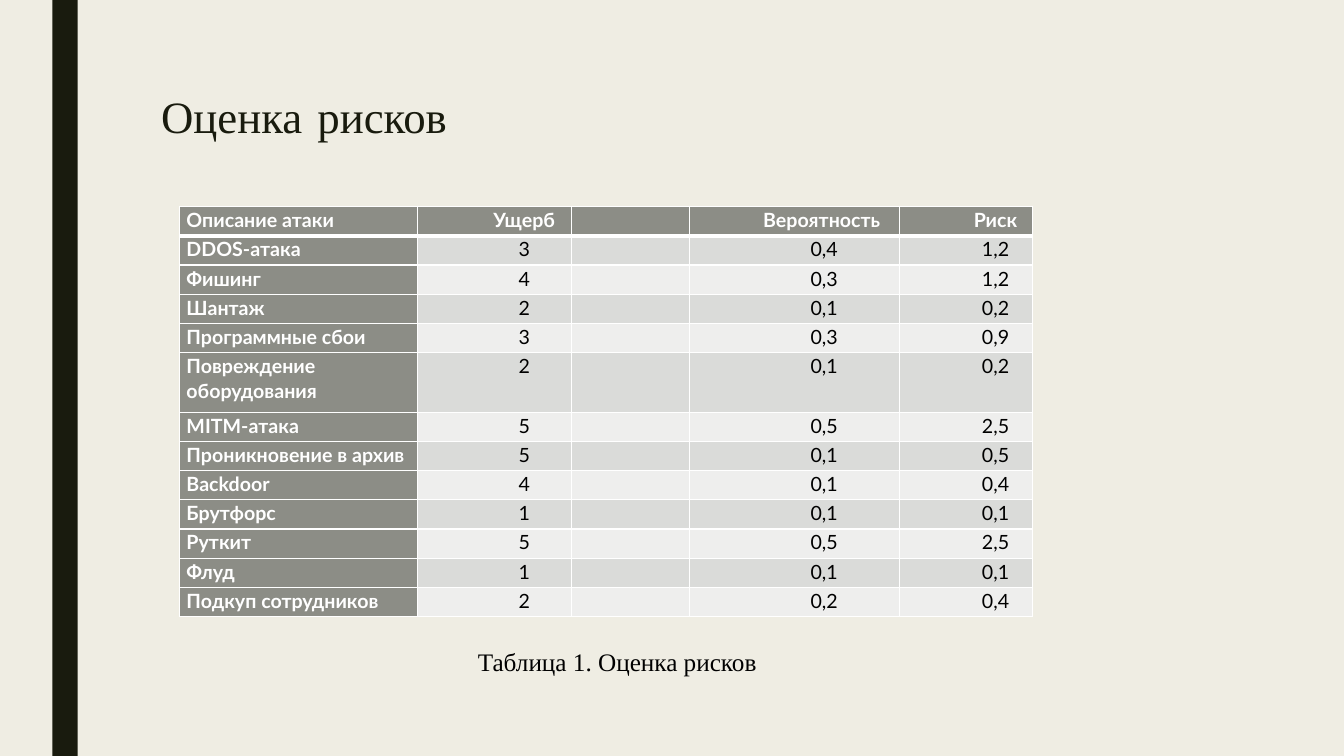
from dataclasses import dataclass

from lxml.etree import SubElement as Sub
from pptx import Presentation
from pptx.dml.color import RGBColor as Rgb
from pptx.enum.shapes import MSO_SHAPE as Kind
from pptx.enum.text import MSO_ANCHOR as Anchor, PP_ALIGN as Align
from pptx.oxml.ns import qn
from pptx.util import Inches, Pt


@dataclass(frozen=True)
class Theme:
    paper: str = "EFEDE3"
    ink: str = "191B0E"
    black: str = "000000"
    white: str = "FFFFFF"
    head: str = "8C8D86"
    bands: tuple = ("DADBD9", "EEEEED")
    serif: str = "Times New Roman"
    sans: str = "Lato"
    title: int = 32
    gap: int = 44
    note: int = 18
    cell: int = 14
    thin: int = 1
    thick: int = 3


THEME = Theme()

HEADS = ("Описание атаки", "Ущерб", "", "Вероятность ", "Риск")
RISKS = (
    ("DDOS-атака", "3", "0,4", "1,2"),
    ("Фишинг", "4", "0,3", "1,2"),
    ("Шантаж", "2", "0,1", "0,2"),
    ("Программные сбои", "3", "0,3", "0,9"),
    ("Повреждение оборудования", "2", "0,1", "0,2"),
    ("MITM-атака", "5", "0,5", "2,5"),
    ("Проникновение в архив", "5", "0,1", "0,5"),
    ("Backdoor", "4", "0,1", "0,4"),
    ("Брутфорс", "1", "0,1", "0,1"),
    ("Руткит", "5", "0,5", "2,5"),
    ("Флуд", "1", "0,1", "0,1"),
    ("Подкуп сотрудников", "2", "0,2", "0,4"),
)
WIDTHS = (2.36, 1.53, 1.17, 2.08, 1.32)
ROW, TALL = 0.29, 0.59
TALL_ROW = 5
INDENT = 0.59


def assign(item, form):
    for name, value in form.items():
        setattr(item, name, value)


def paint(fill, color):
    fill.solid()
    fill.fore_color.rgb = Rgb.from_string(color)


def add_run(para, text, size, face, color, bold=False):
    run = para.add_run()
    run.text = text
    assign(run.font, {"size": Pt(size), "name": face, "bold": bold})
    run.font.color.rgb = Rgb.from_string(color)


def add_text(slide, box, runs, form, wrap=True, left=0):
    frame = slide.shapes.add_textbox(*map(Inches, box)).text_frame
    assign(frame, {"word_wrap": wrap, "vertical_anchor": Anchor.TOP})
    para = frame.paragraphs[0]
    assign(para, form)
    if left:
        para._p.get_or_add_pPr().set("marL", str(Inches(left)))
    for run in runs:
        add_run(para, *run)


def add_bar(slide, box, color):
    bar = slide.shapes.add_shape(Kind.RECTANGLE, *map(Inches, box))
    bar.shadow.inherit = False
    paint(bar.fill, color)
    bar.line.fill.background()


def add_edges(cell, row):
    # Borders come before the fill in the cell properties
    props = cell._tc.get_or_add_tcPr()
    for side in "LRTB":
        wide = (side, row) in (("B", 0), ("T", 1))
        width = THEME.thick if wide else THEME.thin
        line = Sub(props, qn(f"a:ln{side}"), w=str(Pt(width)))
        fill = Sub(line, qn("a:solidFill"))
        Sub(fill, qn("a:srgbClr"), val=THEME.white)


def fill_cell(cell, text, row, col):
    head = row == 0 or col == 0
    add_edges(cell, row)
    paint(cell.fill, THEME.head if head else THEME.bands[(row - 1) % 2])
    assign(cell, {
        "margin_left": Inches(0.07), "margin_right": Inches(0.07),
        "margin_top": 0, "margin_bottom": 0,
    })
    para = cell.text_frame.paragraphs[0]
    if not text:
        Sub(para._p, qn("a:endParaRPr"), sz=str(THEME.cell * 100))
        return
    para.line_spacing = 1.07
    if col:
        para.alignment = Align.CENTER
        para._p.get_or_add_pPr().set("indent", str(Inches(INDENT)))
    color = THEME.white if head else THEME.black
    add_run(para, text, THEME.cell, THEME.sans, color, head)


def add_grid(slide, left, top):
    rows = [HEADS] + [(name, harm, "", odds, risk)
                      for name, harm, odds, risk in RISKS]
    highs = [TALL if i == TALL_ROW else ROW for i in range(len(rows))]
    box = (left, top, sum(WIDTHS), sum(highs))
    grid = slide.shapes.add_table(
        len(rows), len(WIDTHS), *map(Inches, box)).table
    assign(grid, {"first_row": False, "horz_banding": False})
    for col, width in zip(grid.columns, WIDTHS):
        col.width = Inches(width)
    for i, (high, texts) in enumerate(zip(highs, rows)):
        grid.rows[i].height = Inches(high)
        for j, text in enumerate(texts):
            fill_cell(grid.cell(i, j), text, i, j)


def main():
    deck = Presentation()
    assign(deck, {"slide_width": Inches(13.33), "slide_height": Inches(7.5)})
    slide = deck.slides.add_slide(deck.slide_layouts[6])
    paint(slide.background.fill, THEME.paper)

    # Side bar
    add_bar(slide, (0.52, 0, 0.25, 7.5), THEME.ink)

    # Risk table
    add_grid(slide, 1.78, 2.05)

    # Title
    look = (THEME.title, THEME.serif, THEME.ink)
    add_text(slide, (1.5, 0.75, 10.5, 1.62), (
        ("Оценка", *look),
        (" ", THEME.gap, THEME.sans, THEME.ink, True),
        ("рисков", *look),
    ), {"line_spacing": 0.89})

    # Caption
    add_text(slide, (4.15, 6.34, 3.49, 0.41), (
        ("Таблица 1. Оценка рисков", THEME.note, THEME.serif, THEME.black),
    ), {"line_spacing": 1.07, "alignment": Align.JUSTIFY}, False, 0.49)

    deck.save("out.pptx")


main()
